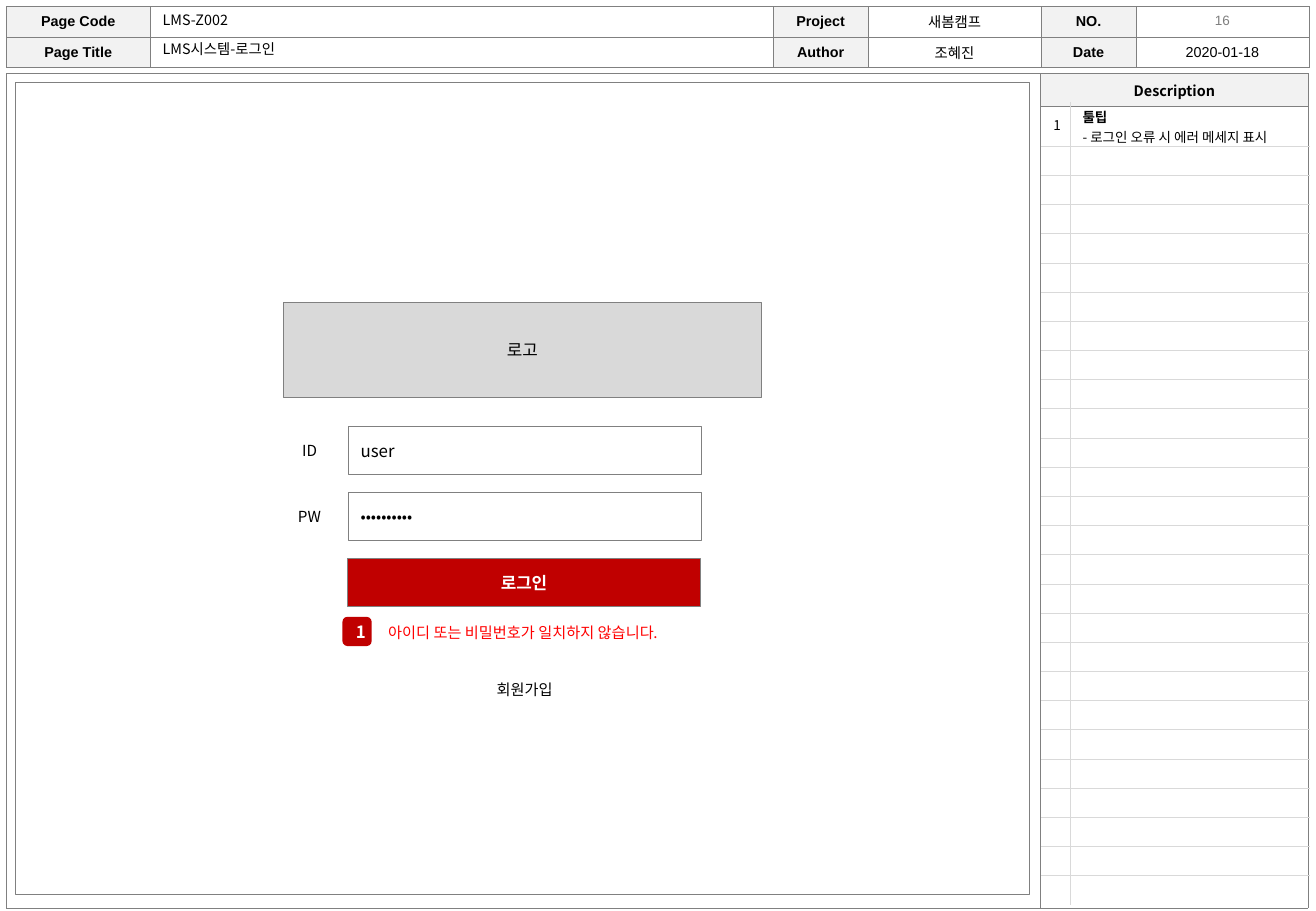
"""Builds the wireframe page for the LMS login screen."""
from lxml import etree
from pptx import Presentation
from pptx.dml.color import RGBColor
from pptx.enum.shapes import MSO_SHAPE
from pptx.enum.text import MSO_ANCHOR, PP_ALIGN
from pptx.oxml.ns import qn
from pptx.util import Cm, Pt

LEFT, CENTER = PP_ALIGN.LEFT, PP_ALIGN.CENTER
TOP, MIDDLE = MSO_ANCHOR.TOP, MSO_ANCHOR.MIDDLE
RECT, ROUNDED = MSO_SHAPE.RECTANGLE, MSO_SHAPE.ROUNDED_RECTANGLE
COLORS = {
    "text": "000000", "white": "FFFFFF", "border": "808080", "grid": "D9D9D9",
    "header": "F2F2F2", "logo": "D9D9D9", "accent": "C00000", "error": "FF0000",
    "number": "7F7F7F",
}
ARIAL, NOTO = "Arial", "Noto Sans CJK KR"
NO_STYLE = "{2D5ABB26-0587-4C30-8999-92F81FD0307C}"
SIDES = ("L", "R", "T", "B")
HEADER_ROWS = [
    ["Page Code", "", "Project", "새봄캠프", "NO.", ""],
    ["Page Title", "", "Author", "조혜진", "Date", "2020-01-18"],
]
DESCRIPTION = ["툴팁", "- 로그인 오류 시 에러 메세지 표시"]


def rgb(color):
    return RGBColor.from_string(COLORS[color])


def write(frame, lines, size, font=NOTO, color="text", bold=(False,), align=CENTER):
    """Fill a text frame; bold holds one flag per line."""
    frame.text = "\n".join(lines)
    for paragraph, is_bold in zip(frame.paragraphs, bold):
        paragraph.alignment = align
        for run in paragraph.runs:
            run.font.size, run.font.bold, run.font.name = Pt(size), is_bold, font
            run.font.color.rgb = rgb(color)
            etree.SubElement(run.font._element, qn("a:ea"), typeface=NOTO)


def add_label(slide, box, text, size, font=NOTO, color="text", align=LEFT):
    frame = slide.shapes.add_textbox(*map(Cm, box)).text_frame
    frame.word_wrap = True
    write(frame, [text], size, font, color, align=align)


def add_box(slide, box, text="", size=9, fill="white", line=None, color="text",
            bold=False, align=CENTER, preset=RECT):
    shape = slide.shapes.add_shape(preset, *map(Cm, box))
    shape.shadow.inherit = False
    shape.fill.solid()
    shape.fill.fore_color.rgb = rgb(fill)
    if line:
        shape.line.color.rgb = rgb(line)
        shape.line.width = Pt(0.5)
    else:
        shape.line.fill.background()
    if text:
        shape.text_frame.vertical_anchor = MIDDLE
        write(shape.text_frame, [text], size, color=color, bold=(bold,), align=align)


def add_grid(slide, left, top, widths, heights):
    """Add an unstyled table whose empty cells never stretch their row."""
    frame = slide.shapes.add_table(len(heights), len(widths), Cm(left), Cm(top),
                                   Cm(sum(widths)), Cm(sum(heights)))
    table = frame.table
    table.first_row = table.horz_banding = False
    table._tbl.tblPr.find(qn("a:tableStyleId")).text = NO_STYLE
    for column, width in zip(table.columns, widths):
        column.width = Cm(width)
    for row, height in zip(table.rows, heights):
        row.height = Cm(height)
    for cell in table.iter_cells():
        cell.vertical_anchor = MIDDLE
        cell.text_frame.paragraphs[0]._p.get_or_add_endParaRPr().set("sz", "600")
    return table


def set_margins(cell, left, right, top, bottom):
    cell.margin_left, cell.margin_right = Cm(left), Cm(right)
    cell.margin_top, cell.margin_bottom = Cm(top), Cm(bottom)


def set_cell(cell, sides, color, width, fill=None):
    """Draw the borders named in sides, then fill the cell."""
    properties = cell._tc.get_or_add_tcPr()
    for side in (side for side in SIDES if side in sides):
        line = etree.SubElement(properties, qn(f"a:ln{side}"), w=str(Pt(width)))
        solid = etree.SubElement(line, qn("a:solidFill"))
        etree.SubElement(solid, qn("a:srgbClr"), val=COLORS[color])
    if fill:
        cell.fill.solid()
        cell.fill.fore_color.rgb = rgb(fill)
    else:
        cell.fill.background()


def add_page_header(slide):
    table = add_grid(slide, 0.13, 0.13, [3.01, 13.02] + [1.99, 3.61] * 2, [0.64] * 2)
    for row, texts in enumerate(HEADER_ROWS):
        for column, text in enumerate(texts):
            cell = table.cell(row, column)
            is_title = column % 2 == 0
            set_margins(cell, 0.1, 0.1, 0.1, 0.1)
            set_cell(cell, SIDES, "border", 0.25, "header" if is_title else None)
            if text:
                write(cell.text_frame, [text], 8.5, ARIAL, bold=(is_title,))
    add_label(slide, (3.15, 0.1, 13, 0.61), "LMS-Z002", 8.5)
    add_label(slide, (3.15, 0.72, 13, 0.61), "LMS시스템-로그인", 8.5)
    add_label(slide, (23.75, 0.13, 3.61, 0.61), "16", 8, ARIAL, "number", CENTER)


def add_page_frame(slide):
    table = add_grid(slide, 0.13, 1.54, [21.62, 5.6], [0.69, 16.76])
    set_cell(table.cell(0, 0), "LRT", "border", 0.25)
    set_cell(table.cell(1, 0), "LRB", "border", 0.25)
    set_cell(table.cell(0, 1), SIDES, "border", 0.25, "header")
    set_cell(table.cell(1, 1), SIDES, "border", 0.25)
    title = table.cell(0, 1)
    set_margins(title, 0.1, 0.1, 0, 0)
    write(title.text_frame, ["Description"], 8.5, bold=(True,))
    add_box(slide, (0.32, 1.72, 21.2, 16.98), line="border")


def add_description(slide):
    heights = [0.93] + [0.61] * 26
    table = add_grid(slide, 21.77, 2.13, [0.61, 5], heights)
    last = len(heights) - 1
    for row in range(len(heights)):
        horizontal = ("T" if row else "") + ("B" if row < last else "")
        set_cell(table.cell(row, 0), "R" + horizontal, "grid", 0.5)
        set_cell(table.cell(row, 1), "L" + horizontal, "grid", 0.5)
    number, detail = table.cell(0, 0), table.cell(0, 1)
    set_margins(number, 0.05, 0, 0, 0)
    write(number.text_frame, ["1"], 8)
    set_margins(detail, 0.25, 0.1, 0.1, 0)
    write(detail.text_frame, DESCRIPTION, 8, bold=(True, False), align=LEFT)


def add_login_form(slide):
    top, pitch, field_left, field_width = 8.92, 1.38, 7.29, 7.37
    add_box(slide, (5.92, 6.32, 10, 2), "로고", 10, "logo", "border")
    for index, (label, value, size) in enumerate([("ID", "user", 10), ("PW", "•" * 10, 9)]):
        y = top + index * pitch
        add_box(slide, (5.97, y, 1, 1), label)
        add_box(slide, (field_left, y, field_width, 1), value, size,
                line="border", align=LEFT)
    add_box(slide, (7.27, top + 2 * pitch, field_width, 1), "로그인", 10, "accent",
            "border", "white", True)
    add_box(slide, (8.08, 13.92, 5.77, 1), "회원가입")
    add_box(slide, (6.93, 12.93, 8, 0.61), "아이디 또는 비밀번호가 일치하지 않습니다.",
            color="error")
    add_box(slide, (7.16, 12.9, 0.61, 0.61), "1", 10, "accent", color="white",
            bold=True, preset=ROUNDED)


def main():
    deck = Presentation()
    deck.slide_width, deck.slide_height = Cm(27.51), Cm(19.05)
    slide = deck.slides.add_slide(deck.slide_layouts[6])
    add_page_frame(slide)
    add_page_header(slide)
    add_description(slide)
    add_login_form(slide)
    deck.save("out.pptx")


main()
